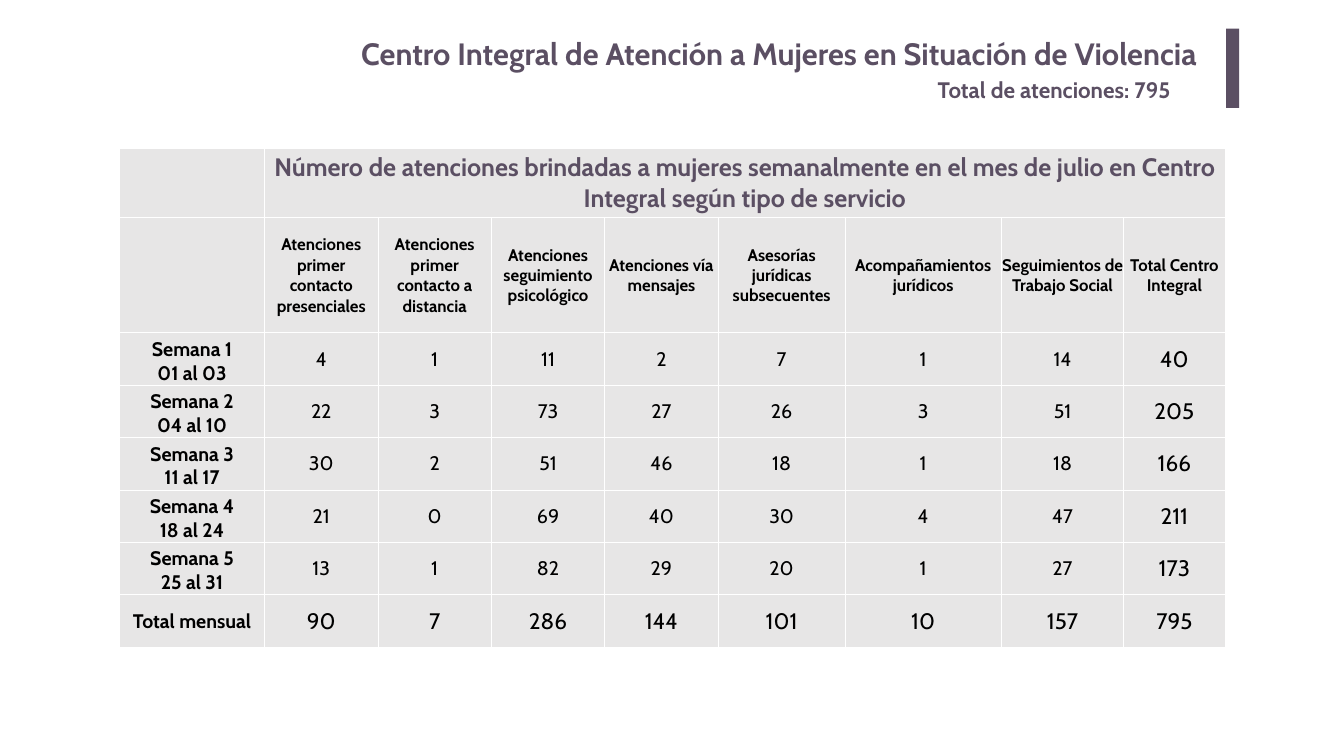
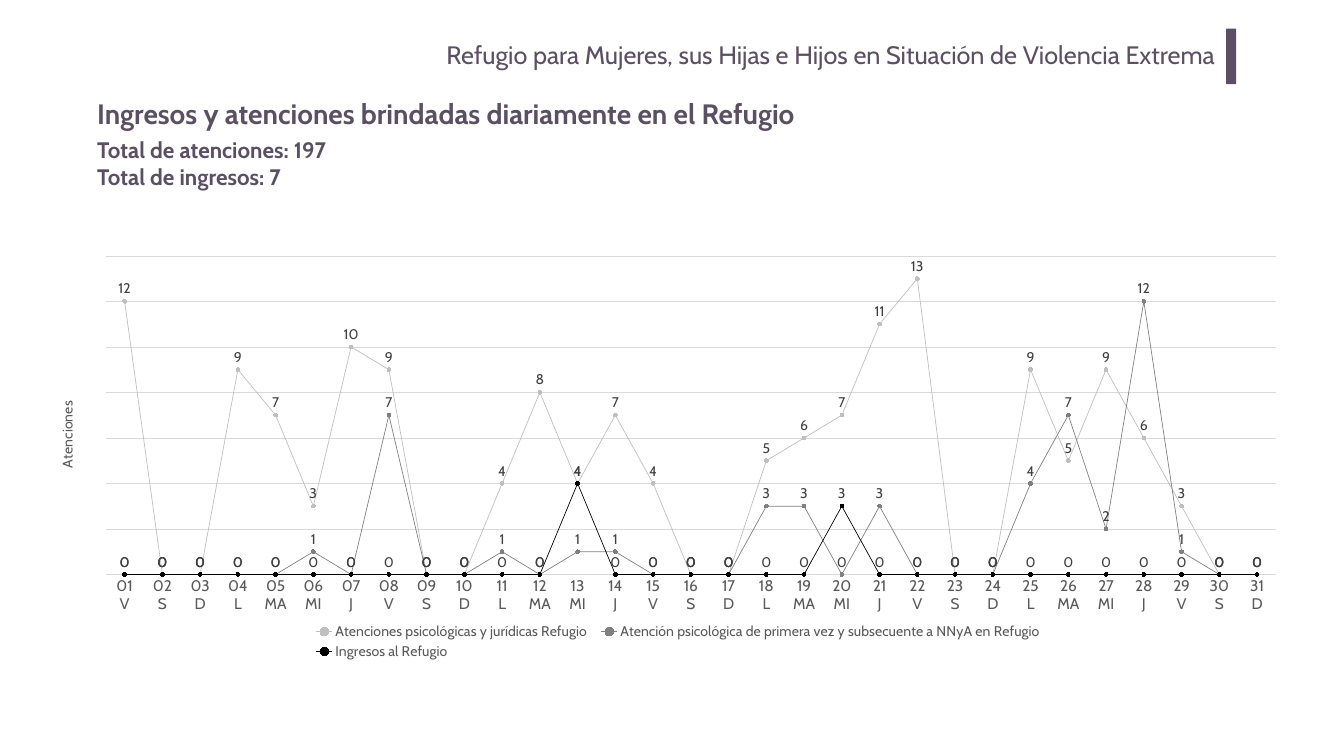
"""Build two slides on monthly care for women: a weekly table and a daily line chart."""
from dataclasses import dataclass

from lxml import etree
from pptx import Presentation
from pptx import util as u
from pptx.chart import data as cd
from pptx.dml.color import RGBColor
from pptx.enum import chart as ec, shapes, text
from pptx.oxml import ns

FONT = "Cabin"
COLORS = {
    "plum": "5B4F63", "cell": "E7E6E6", "white": "FFFFFF", "black": "000000",
    "axis": "595959", "grid": "D9D9D9", "label": "404040",
    "light": "BFBFBF", "mid": "808080",
}
AL = text.PP_ALIGN
MID = text.MSO_ANCHOR.MIDDLE

COL_WIDTHS = [2.88, 2.25, 2.25, 2.25, 2.25, 2.52, 3.1, 2.43, 2.01]
ROW_HEIGHTS = [1.38, 2.28] + [1.04] * 6
TABLE_TITLE = ("Número de atenciones brindadas a mujeres semanalmente en el mes de julio "
               "en Centro Integral según tipo de servicio")
SERVICES = [
    "Atenciones primer contacto presenciales", "Atenciones primer contacto a distancia",
    "Atenciones seguimiento psicológico", "Atenciones vía mensajes",
    "Asesorías jurídicas subsecuentes", "Acompañamientos jurídicos",
    "Seguimientos de Trabajo Social", "Total Centro Integral",
]
WEEKS = [
    ("Semana 1\n01 al 03", [4, 1, 11, 2, 7, 1, 14, 40]),
    ("Semana 2\n04 al 10", [22, 3, 73, 27, 26, 3, 51, 205]),
    ("Semana 3\n11 al 17", [30, 2, 51, 46, 18, 1, 18, 166]),
    ("Semana 4\n18 al 24", [21, 0, 69, 40, 30, 4, 47, 211]),
    ("Semana 5\n25 al 31", [13, 1, 82, 29, 20, 1, 27, 173]),
    ("Total mensual", [90, 7, 286, 144, 101, 10, 157, 795]),
]
WEEKDAYS = ["L", "MA", "MI", "J", "V", "S", "D"]


@dataclass
class TextBox:
    """A text box with one style for all its lines."""
    box: tuple[float, float, float, float]
    lines: list[str]
    size: int
    bold: bool = True
    align: AL = AL.LEFT
    anchor: text.MSO_ANCHOR = text.MSO_ANCHOR.TOP
    inset: tuple[float, float] = (0.1, 0.05)
    spacing: float | None = None


@dataclass
class DailySeries:
    """A chart line with its colour and daily values."""
    name: str
    color: str
    values: list[int]


SERIES = [
    DailySeries("Atenciones psicológicas y jurídicas Refugio", "light",
                [12, 0, 0, 9, 7, 3, 10, 9, 0, 0, 4, 8, 4, 7, 4, 0, 0, 5, 6, 7, 11, 13,
                 0, 0, 9, 5, 9, 6, 3, 0, 0]),
    DailySeries("Atención psicológica de primera vez y subsecuente a NNyA en Refugio", "mid",
                [0, 0, 0, 0, 0, 1, 0, 7, 0, 0, 1, 0, 1, 1, 0, 0, 0, 3, 3, 0, 3, 0,
                 0, 0, 4, 7, 2, 12, 1, 0, 0]),
    DailySeries("Ingresos al Refugio", "black",
                [{13: 4, 20: 3}.get(day, 0) for day in range(1, 32)]),
]


def rgb(name: str) -> RGBColor:
    """Return a palette colour."""
    return RGBColor.from_string(COLORS[name])


def style(font, size: float, color: str, bold: bool = False) -> None:
    """Apply the shared font to a run or chart part."""
    font.name, font.size, font.bold = FONT, u.Pt(size), bold
    font.color.rgb = rgb(color)


def inches(box: tuple) -> list:
    """Turn a box into lengths."""
    return [u.Inches(v) for v in box]


def add_text(s, tb: TextBox) -> None:
    """Draw a text box."""
    tf = s.shapes.add_textbox(*inches(tb.box)).text_frame
    tf.word_wrap, tf.vertical_anchor = True, tb.anchor
    tf.margin_left = tf.margin_right = u.Inches(tb.inset[0])
    tf.margin_top = tf.margin_bottom = u.Inches(tb.inset[1])
    for i, line in enumerate(tb.lines):
        p = tf.add_paragraph() if i else tf.paragraphs[0]
        p.alignment = tb.align
        if tb.spacing:
            p.line_spacing = tb.spacing
        r = p.add_run()
        r.text = line
        style(r.font, tb.size, "plum", tb.bold)


def add_header(s, title: TextBox, bar_width: float, bar_height: float) -> None:
    """Draw the right-aligned title and its vertical bar."""
    sp = s.shapes.add_shape(shapes.MSO_SHAPE.RECTANGLE,
                            *inches((24.33, 0.57, bar_width, bar_height)))
    sp.shadow.inherit = False
    sp.fill.solid()
    sp.fill.fore_color.rgb = rgb("plum")
    sp.line.fill.background()
    title.align, title.inset = AL.RIGHT, (0.2, 0.1)
    add_text(s, title)


def frame_cell(cell) -> None:
    """Fill a cell and give it thin white borders."""
    cell.margin_left = cell.margin_right = cell.margin_top = u.Inches(0.01)
    cell.margin_bottom = 0
    pr = cell._tc.get_or_add_tcPr()
    for side in ("lnL", "lnR", "lnT", "lnB"):
        ln = etree.SubElement(pr, ns.qn(f"a:{side}"), w=str(u.Pt(1)))
        fill = etree.SubElement(ln, ns.qn("a:solidFill"))
        etree.SubElement(fill, ns.qn("a:srgbClr"), val=COLORS["white"])
    cell.fill.solid()
    cell.fill.fore_color.rgb = rgb("cell")


def write_cell(cell, content: str, size: int, bold: bool = False, color: str = "black",
               anchor: text.MSO_ANCHOR = MID) -> None:
    """Write centred text in a cell."""
    cell.vertical_anchor = anchor
    p = cell.text_frame.paragraphs[0]
    p.alignment = AL.CENTER
    for i, line in enumerate(content.split("\n")):
        if i:
            p.add_line_break()
        r = p.add_run()
        r.text = line
        style(r.font, size, color, bold)


def add_week_table(s) -> None:
    """Draw the table of weekly care by service."""
    frame = s.shapes.add_table(len(ROW_HEIGHTS), len(COL_WIDTHS),
                               *inches((2.37, 2.94, sum(COL_WIDTHS), sum(ROW_HEIGHTS))))
    table = frame.table
    table.first_row = table.horz_banding = False
    for col, width in zip(table.columns, COL_WIDTHS):
        col.width = u.Inches(width)
    for row, height in zip(table.rows, ROW_HEIGHTS):
        row.height = u.Inches(height)
    for cell in table.iter_cells():
        frame_cell(cell)
    table.cell(0, 1).merge(table.cell(0, len(SERVICES)))
    write_cell(table.cell(0, 1), TABLE_TITLE, 36, True, "plum")
    for col, service in enumerate(SERVICES, 1):
        write_cell(table.cell(1, col), service, 24, True)
    for row, (label, values) in enumerate(WEEKS, 2):
        is_total = row == len(ROW_HEIGHTS) - 1
        anchor = MID if is_total else text.MSO_ANCHOR.BOTTOM
        write_cell(table.cell(row, 0), label, 28, True, anchor=anchor)
        for col, value in enumerate(values, 1):
            size = 32 if is_total or col == len(SERVICES) else 28
            write_cell(table.cell(row, col), str(value), size)


def set_layout(part, box: tuple, inner: bool = False) -> None:
    """Place a chart part by fractions of the chart area."""
    for old in part.findall(ns.qn("c:layout")):
        part.remove(old)
    layout = etree.Element(ns.qn("c:layout"))
    manual = etree.SubElement(layout, ns.qn("c:manualLayout"))
    settings = [("layoutTarget", "inner")] if inner else []
    settings += [("xMode", "edge"), ("yMode", "edge"), *zip("xywh", box)]
    for tag, value in settings:
        etree.SubElement(manual, ns.qn(f"c:{tag}"), val=str(value))
    part.insert(0 if inner else 1, layout)


def style_series(line, color: str) -> None:
    """Give a chart line its stroke, markers and value labels."""
    line.smooth = False
    line.format.line.width = u.Pt(1)
    line.format.line.color.rgb = rgb(color)
    marker = line.marker
    marker.style, marker.size = ec.XL_MARKER_STYLE.CIRCLE, 5
    marker.format.fill.solid()
    marker.format.fill.fore_color.rgb = rgb(color)
    marker.format.line.color.rgb = rgb(color)
    labels = line.data_labels
    labels.show_value, labels.position = True, ec.XL_LABEL_POSITION.ABOVE
    style(labels.font, 20, "label")


def add_daily_chart(s) -> None:
    """Draw the line chart of daily care and admissions."""
    data = cd.CategoryChartData()
    data.categories = [f"{day:02}\n{WEEKDAYS[(day + 3) % 7]}" for day in range(1, 32)]
    for item in SERIES:
        data.add_series(item.name, item.values)
    chart = s.shapes.add_chart(ec.XL_CHART_TYPE.LINE_MARKERS,
                               *inches((0.85, 4.91, 24.97, 8.32)), data).chart
    chart.has_title = False
    style(chart.font, 10, "black")
    chart.plots[0].vary_by_categories = False
    for line, item in zip(chart.plots[0].series, SERIES):
        style_series(line, item.color)

    days = chart.category_axis
    days.major_tick_mark = days.minor_tick_mark = ec.XL_TICK_MARK.NONE
    days.format.line.color.rgb = rgb("grid")
    days.format.line.width = u.Pt(0.75)
    style(days.tick_labels.font, 22, "axis")

    counts = chart.value_axis
    counts.minimum_scale, counts.maximum_scale, counts.major_unit = 0, 14, 2
    counts.has_major_gridlines = True
    counts.major_gridlines.format.line.color.rgb = rgb("grid")
    counts.major_gridlines.format.line.width = u.Pt(0.75)
    r = counts.axis_title.text_frame.paragraphs[0].add_run()
    r.text = "Atenciones"
    style(r.font, 20, "axis")
    body = counts.axis_title.text_frame._txBody.find(ns.qn("a:bodyPr"))
    body.set("rot", "-5400000")
    body.set("vert", "horz")
    counts.visible = False

    chart.has_legend = True
    legend = chart.legend
    legend.position, legend.include_in_layout = ec.XL_LEGEND_POSITION.BOTTOM, False
    style(legend.font, 20, "axis")
    set_layout(legend._element, (0.21, 0.89, 0.59, 0.1))
    set_layout(chart._chartSpace.chart.plotArea, (0.05, 0.02, 0.93, 0.76), inner=True)


def main() -> None:
    """Build and save the slides."""
    prs = Presentation()
    prs.slide_width, prs.slide_height = u.Inches(26.67), u.Inches(15)
    blank = prs.slide_layouts[6]

    s = prs.slides.add_slide(blank)
    add_header(s, TextBox((3.66, 0.58, 20.3, 1.02), [
        "Centro Integral de Atención a Mujeres en Situación de Violencia"], 44), 0.26, 1.57)
    add_week_table(s)
    add_text(s, TextBox((18.51, 1.47, 5.51, 0.64), ["Total de atenciones: 795"], 32))

    s = prs.slides.add_slide(blank)
    add_header(s, TextBox((4.01, 0.67, 20.3, 1.02), [
        "Refugio para Mujeres, sus Hijas e Hijos en Situación de Violencia Extrema"],
        36, bold=False), 0.2, 1.1)
    add_text(s, TextBox((1.83, 1.57, 21.85, 1.45), [
        "Ingresos y atenciones brindadas diariamente en el Refugio"], 40,
        align=AL.JUSTIFY, anchor=MID, spacing=0.9))
    add_text(s, TextBox((1.83, 2.65, 5.64, 1.18), [
        "Total de atenciones: 197", "Total de ingresos: 7"], 32))
    add_daily_chart(s)

    prs.save("out.pptx")


if __name__ == "__main__":
    main()
